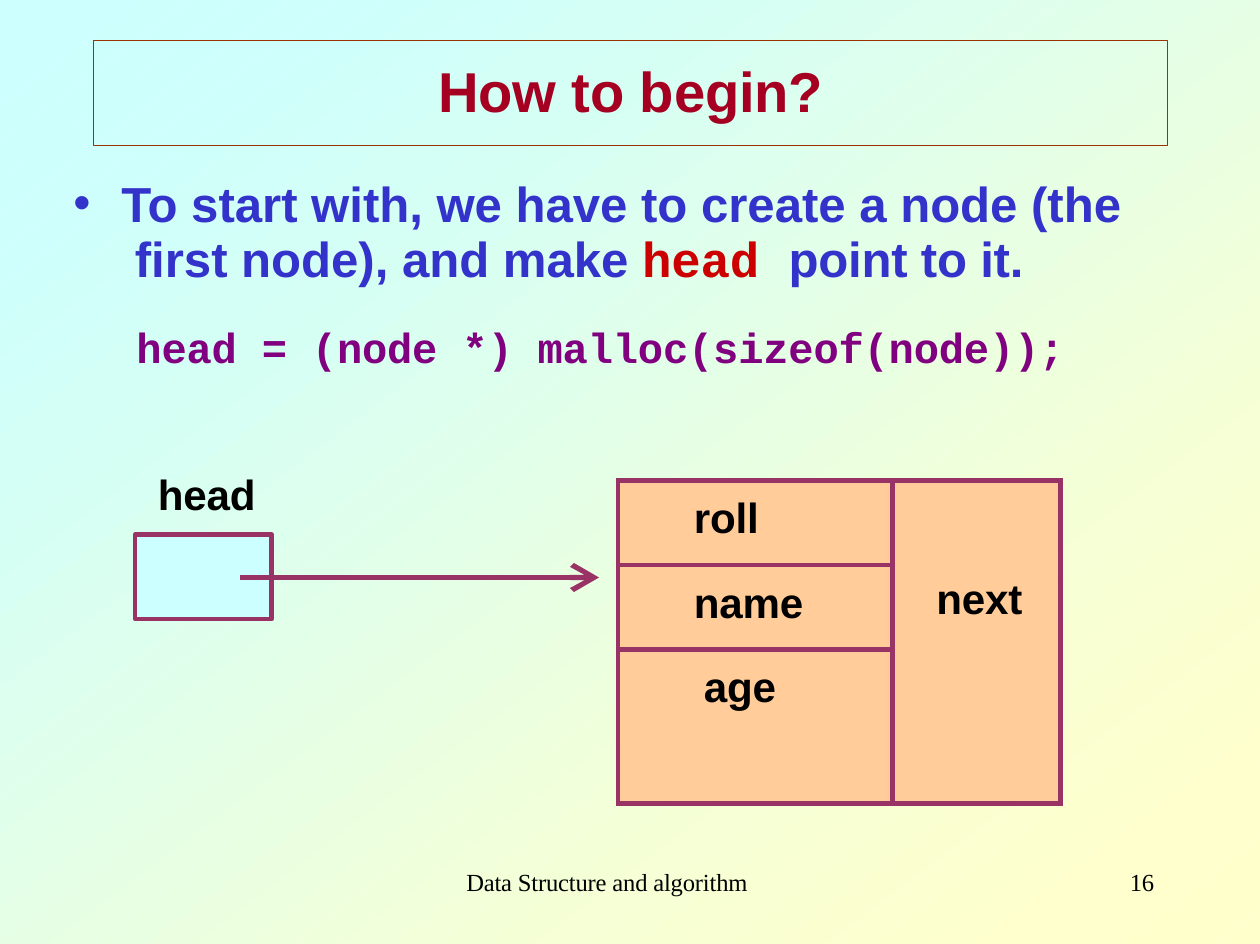
from itertools import pairwise
from math import cos, pi

from lxml import etree
from pptx import Presentation
from pptx import util as u
from pptx.dml.color import RGBColor
from pptx.enum import shapes, text
from pptx.oxml import ns

WIDTH, HEIGHT = 9.97, 7.47

CYAN = RGBColor(0xCC, 0xFF, 0xFE)
CREAM = RGBColor(0xFF, 0xFF, 0xCC)
BOX_CYAN = RGBColor(0xCC, 0xFF, 0xFF)
PLUM = RGBColor(0x9A, 0x33, 0x65)
BROWN = RGBColor(0x9A, 0x33, 0x00)
CRIMSON = RGBColor(0xA5, 0x00, 0x21)
BLUE = RGBColor(0x33, 0x33, 0xCC)
RED = RGBColor(0xCC, 0x00, 0x00)
PURPLE = RGBColor(0x80, 0x00, 0x80)
PEACH = RGBColor(0xFF, 0xCC, 0x9A)
BLACK = RGBColor(0, 0, 0)

SANS, MONO, SERIF = "Arial", "Courier New", "Times New Roman"


class SlideBuilder:
    def __init__(self, prs):
        self.s = prs.slides.add_slide(prs.slide_layouts[6])

    def diagonal(self, t):
        if t <= WIDTH:
            return [(t, 0), (0, t * HEIGHT / WIDTH)]
        return [(WIDTH, (t - WIDTH) * HEIGHT / WIDTH), (t - WIDTH, HEIGHT)]

    def band(self, near, far, start, end):
        points = self.diagonal(near) + self.diagonal(far)[::-1]
        points = [(u.Inches(x), u.Inches(y)) for x, y in points]
        builder = self.s.shapes.build_freeform(*points[0], scale=1.0)
        builder.add_line_segments(points[1:], close=True)
        sp = builder.convert_to_shape()
        sp.shadow.inherit = False
        sp.line.fill.background()
        ease = (1 - cos(pi * (near + far) / (4 * WIDTH))) / 2
        sp.fill.solid()
        sp.fill.fore_color.rgb = RGBColor(
            *(round(a + (b - a) * ease) for a, b in zip(start, end)))

    def background(self, start, end, first, steps):
        step = (WIDTH - first) * 2 / steps
        edges = [first + step * i for i in range(steps + 1)]
        for near, far in pairwise([0, *edges, 2 * WIDTH - 0.35, 2 * WIDTH]):
            self.band(near, far, start, end)

    def run(self, p, words, size, color, font=SANS, bold=True, spacing=-10):
        r = p.add_run()
        r.text = words
        r.font.name = font
        r.font.size = u.Pt(size)
        r.font.bold = bold
        r.font.color.rgb = color
        r._r.get_or_add_rPr().set("spc", str(spacing))

    def frame(self, tf, top=0):
        tf.word_wrap = True
        tf.margin_left = tf.margin_right = tf.margin_bottom = 0
        tf.margin_top = u.Inches(top)
        tf.vertical_anchor = text.MSO_ANCHOR.TOP
        return tf

    def text_box(self, left, top, width, height, inset=0):
        sp = self.s.shapes.add_textbox(*map(u.Inches, (left, top, width, height)))
        return self.frame(sp.text_frame, inset)

    def indent(self, p, left, first=0, bullet=None):
        pPr = p._p.get_or_add_pPr()
        pPr.set("marL", str(u.Inches(left)))
        pPr.set("indent", str(u.Inches(first)))
        if bullet:
            etree.SubElement(pPr, ns.qn("a:buFont"), typeface=SANS)
            etree.SubElement(pPr, ns.qn("a:buChar"), char=bullet)

    def rectangle(self, left, top, width, height, line, weight, fill=None):
        sp = self.s.shapes.add_shape(
            shapes.MSO_SHAPE.RECTANGLE, *map(u.Inches, (left, top, width, height)))
        sp.shadow.inherit = False
        if fill is None:
            sp.fill.background()
        else:
            sp.fill.solid()
            sp.fill.fore_color.rgb = fill
        sp.line.color.rgb = line
        sp.line.width = u.Pt(weight)
        return sp

    def arrow(self, x1, y1, x2, y2, color, weight):
        c = self.s.shapes.add_connector(
            shapes.MSO_CONNECTOR.STRAIGHT, *map(u.Inches, (x1, y1, x2, y2)))
        c.line.color.rgb = color
        c.line.width = u.Pt(weight)
        etree.SubElement(c.line._get_or_add_ln(), ns.qn("a:tailEnd"),
                         type="arrow", w="lg", len="lg")
        etree.SubElement(c._element.spPr, ns.qn("a:effectLst"))

    def table(self, left, top, widths, heights, line, weight, fill):
        t = self.s.shapes.add_table(
            len(heights), len(widths),
            *map(u.Inches, (left, top, sum(widths), sum(heights)))).table
        t.first_row = t.horz_banding = False
        for column, width in zip(t.columns, widths):
            column.width = u.Inches(width)
        for row, height in zip(t.rows, heights):
            row.height = u.Inches(height)
        for cell in t.iter_cells():
            tcPr = cell._tc.get_or_add_tcPr()
            for side in "LRTB":
                ln = etree.SubElement(tcPr, ns.qn(f"a:ln{side}"), w=str(u.Pt(weight)))
                solid = etree.SubElement(ln, ns.qn("a:solidFill"))
                etree.SubElement(solid, ns.qn("a:srgbClr"), val=str(line))
            cell.fill.solid()
            cell.fill.fore_color.rgb = fill
        return t

    def cell_text(self, cell, words, left, top):
        cell.margin_left, cell.margin_top = u.Inches(left), u.Inches(top)
        cell.margin_right = cell.margin_bottom = 0
        self.run(cell.text_frame.paragraphs[0], words, 24, BLACK)


def main():
    prs = Presentation()
    prs.slide_width, prs.slide_height = u.Inches(WIDTH), u.Inches(HEIGHT)
    b = SlideBuilder(prs)
    b.background(CYAN, CREAM, 1.12, 46)

    b.rectangle(1.07, 4.23, 1.08, 0.67, PLUM, 2.52, BOX_CYAN)
    b.arrow(1.9, 4.57, 4.74, 4.57, PLUM, 3)

    title = b.rectangle(0.74, 0.32, 8.5, 0.83, BROWN, 0.72)
    p = b.frame(title.text_frame, 0.13).paragraphs[0]
    p.alignment = text.PP_ALIGN.CENTER
    b.run(p, "How to begin?", 32, CRIMSON)

    for words, left, width, indent in (
            ("Data Structure and algorithm", 3.68, 2.6, 0.01), ("16", 8.9, 0.28, 0.04)):
        p = b.text_box(left, 6.87, width, 0.24).paragraphs[0]
        b.indent(p, indent)
        p.line_spacing = u.Pt(16.2)
        b.run(p, words, 14, BLACK, SERIF, False)

    tf = b.text_box(0.57, 1.35, 8.36, 2.76, 0.05)
    p = tf.paragraphs[0]
    b.indent(p, 0.39, -0.38, "•")
    p.line_spacing = u.Pt(31.6)
    b.run(p, "To start with, we have to create a node (the  first node), and make ",
          28, BLUE, spacing=0)
    b.run(p, "head ", 28, RED, MONO)
    b.run(p, "point to it.", 28, BLUE)

    for words, left, before, color, font in (
            ("head = (node *) malloc(sizeof(node));", 0.51, 19.3, PURPLE, MONO),
            ("head", 0.68, 55, BLACK, SANS)):
        p = tf.add_paragraph()
        b.indent(p, left)
        p.space_before = u.Pt(before)
        b.run(p, words, 24, color, font)

    node = b.table(4.89, 3.8, (2.17, 1.33), (0.67, 0.67, 1.22), PLUM, 3, PEACH)
    node.cell(0, 1).merge(node.cell(2, 1))
    for row, (field, left) in enumerate((("roll", 0.6), ("name", 0.6), ("age", 0.68))):
        b.cell_text(node.cell(row, 0), field, left, 0.12)
    b.cell_text(node.cell(0, 1), "next", 0.35, 0.76)

    prs.save("out.pptx")


if __name__ == "__main__":
    main()
